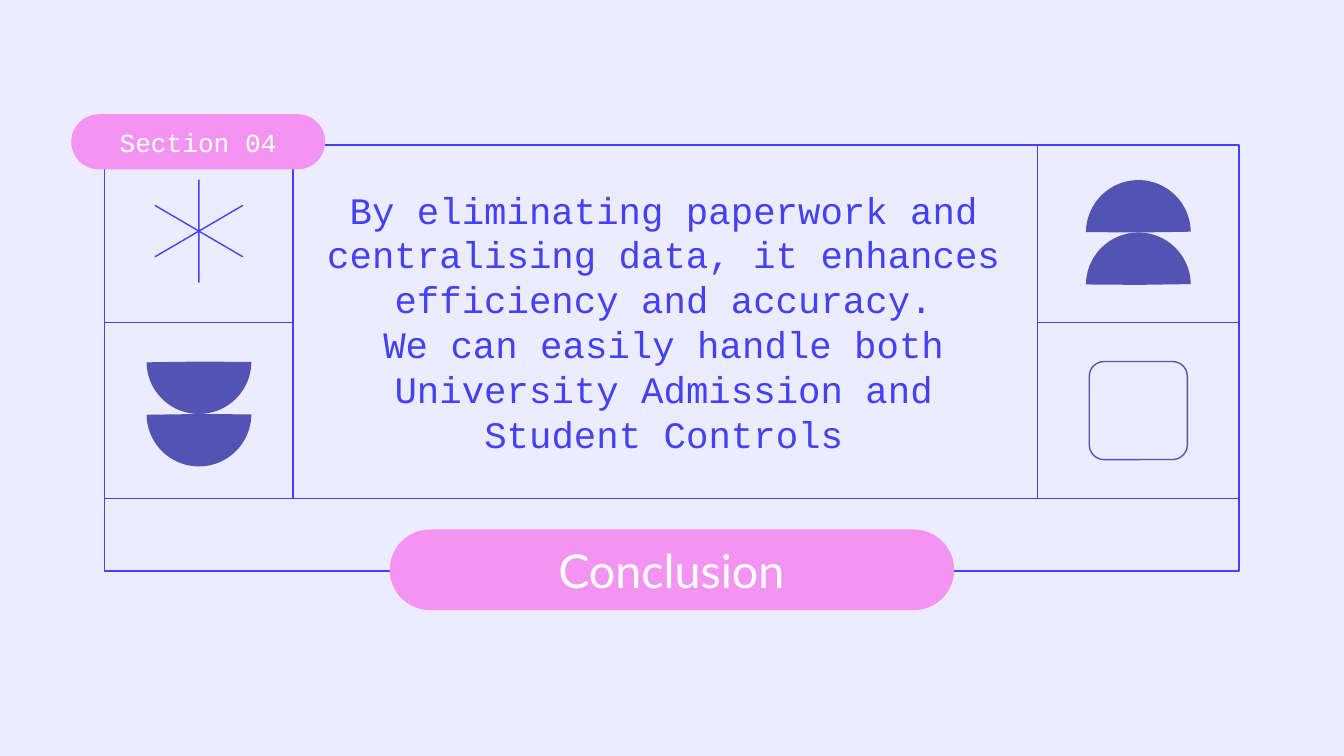
from typing import NamedTuple, Optional

from lxml.etree import SubElement
from pptx import Presentation
from pptx.dml.color import RGBColor
from pptx.enum.shapes import MSO_CONNECTOR, MSO_SHAPE as Preset
from pptx.enum.text import MSO_ANCHOR as Anchor, MSO_AUTO_SIZE as AutoSize, PP_ALIGN as Align
from pptx.oxml.ns import qn
from pptx.util import Inches, Pt

WIDTH = 10
HEIGHT = WIDTH * 9 / 16
COLORS = {"background": "ECECFE", "blue": "4241F5", "indigo": "5353B3",
          "pink": "F494F2", "white": "FFFFFF"}
LINE_WIDTH = Pt(0.75)
HALF_DISC = (108.27, 215.49)  # start and end angle of the pie

# Edges of the grid, from left to right and from top to bottom
COLUMNS = (0.78, 2.18, 7.72, 9.22)
ROWS = (1.08, 2.4, 3.71, 4.25)
ORNAMENT_TOPS = (1.34, 2.69)


class Box(NamedTuple):
    left: float
    top: float
    width: float
    height: float

    def lengths(self) -> list:
        return [Inches(value) for value in self]


class Rule(NamedTuple):
    """A line between two (column, row) nodes of the grid."""
    start: tuple
    end: tuple


class HalfDiscs(NamedTuple):
    """Two stacked half discs in a grid cell."""
    column: int
    row: int
    rotation: int


class TextStyle(NamedTuple):
    font: str
    size: int
    color: str


RULES = (Rule((0, 1), (1, 1)), Rule((1, 0), (1, 2)), Rule((2, 0), (2, 2)),
         Rule((2, 1), (3, 1)), Rule((0, 2), (3, 2)))
DISC_PAIRS = (HalfDiscs(2, 0, 0), HalfDiscs(0, 1, 180))


def color(name: str) -> RGBColor:
    return RGBColor.from_string(COLORS[name])


def ornament_box(column: int, row: int, width: float, height: float) -> Box:
    """A box centred in its column, at the ornament height of its row."""
    middle = (COLUMNS[column] + COLUMNS[column + 1]) / 2
    return Box(middle - width / 2, ORNAMENT_TOPS[row], width, height)


def add_preset(shapes, preset, box: Box, fill: Optional[str] = None,
               line: Optional[str] = None, adjustments: tuple = ()):
    shape = shapes.add_shape(preset, *box.lengths())
    shape.shadow.inherit = False
    if fill:
        shape.fill.solid()
        shape.fill.fore_color.rgb = color(fill)
    else:
        shape.fill.background()
    if line:
        shape.line.color.rgb = color(line)
        shape.line.width = LINE_WIDTH
    else:
        shape.line.fill.background()
    for index, value in enumerate(adjustments):
        shape.adjustments[index] = value
    return shape


def add_rule(shapes, rule: Rule) -> None:
    points = [Inches(edge) for column, row in rule for edge in (COLUMNS[column], ROWS[row])]
    connector = shapes.add_connector(MSO_CONNECTOR.STRAIGHT, *points)
    connector.line.color.rgb = color("blue")
    connector.line.width = LINE_WIDTH
    SubElement(connector.element.spPr, qn("a:effectLst"))


def add_half_discs(shapes, pair: HalfDiscs, size: float = 0.78) -> None:
    group = shapes.add_group_shape()
    box = ornament_box(pair.column, pair.row, size, size)
    # A turned disc shows its lower half, so it starts half a disc higher
    steps = (-1, 0) if pair.rotation else (1, 0)
    for step in steps:
        place = box._replace(top=box.top + step * size / 2)
        disc = add_preset(group.shapes, Preset.PIE, place, "indigo", adjustments=HALF_DISC)
        disc.rotation = pair.rotation


def write(shape, paragraphs: tuple, style: TextStyle) -> None:
    frame = shape.text_frame
    frame.text = "\n".join(paragraphs)
    margins = {f"margin_{side}": Inches(0.1) for side in ("left", "top", "right", "bottom")}
    frame_format = {"word_wrap": True, "auto_size": AutoSize.NONE,
                    "vertical_anchor": Anchor.MIDDLE, **margins}
    for name, value in frame_format.items():
        setattr(frame, name, value)
    for paragraph in frame.paragraphs:
        paragraph.alignment = Align.CENTER
        font = paragraph.runs[0].font
        for name, value in {"name": style.font, "size": Pt(style.size)}.items():
            setattr(font, name, value)
        font.color.rgb = color(style.color)


def main() -> None:
    presentation = Presentation()
    presentation.slide_width, presentation.slide_height = Inches(WIDTH), Inches(HEIGHT)
    slide = presentation.slides.add_slide(presentation.slide_layouts[5])
    slide.background.fill.solid()
    slide.background.fill.fore_color.rgb = color("background")
    shapes = slide.shapes

    # Frame and title pill
    frame = Box(COLUMNS[0], ROWS[0], COLUMNS[-1] - COLUMNS[0], ROWS[-1] - ROWS[0])
    add_preset(shapes, Preset.RECTANGLE, frame, line="blue")
    pill = add_preset(shapes, Preset.ROUNDED_RECTANGLE, Box(2.9, 3.94, 4.2, 0.6),
                      "pink", adjustments=(0.5,))

    # Title, lifted above its pill
    title = shapes.title
    places = zip(("left", "top", "width", "height"), Box(3.06, 3.95, 3.87, 0.58).lengths())
    for name, value in places:
        setattr(title, name, value)
    write(title, ("Conclusion",), TextStyle("Lato", 25, "white"))
    pill.element.addnext(title.element)

    # Closing statement
    statement = shapes.add_textbox(*Box(2.17, 1.08, 5.54, 2.62).lengths())
    write(statement,
          ("By eliminating paperwork and centralising data, it enhances efficiency and accuracy.",
           "We can easily handle both University Admission and Student Controls"),
          TextStyle("Courier New", 20, "blue"))

    # Grid lines
    for rule in RULES:
        add_rule(shapes, rule)

    # Ornaments in the corner cells
    add_preset(shapes, Preset.ROUNDED_RECTANGLE, ornament_box(2, 1, 0.73, 0.73),
               line="indigo", adjustments=(0.15,))
    add_preset(shapes, Preset.STAR_6_POINT, ornament_box(0, 0, 0.65, 0.76),
               "pink", "blue", (0,))
    for pair in DISC_PAIRS:
        add_half_discs(shapes, pair)

    # Section label
    label = add_preset(shapes, Preset.ROUNDED_RECTANGLE, Box(0.53, 0.85, 1.89, 0.41),
                       "pink", adjustments=(0.5,))
    write(label, ("Section 04",), TextStyle("Courier New", 14, "white"))

    presentation.save("out.pptx")


if __name__ == "__main__":
    main()
